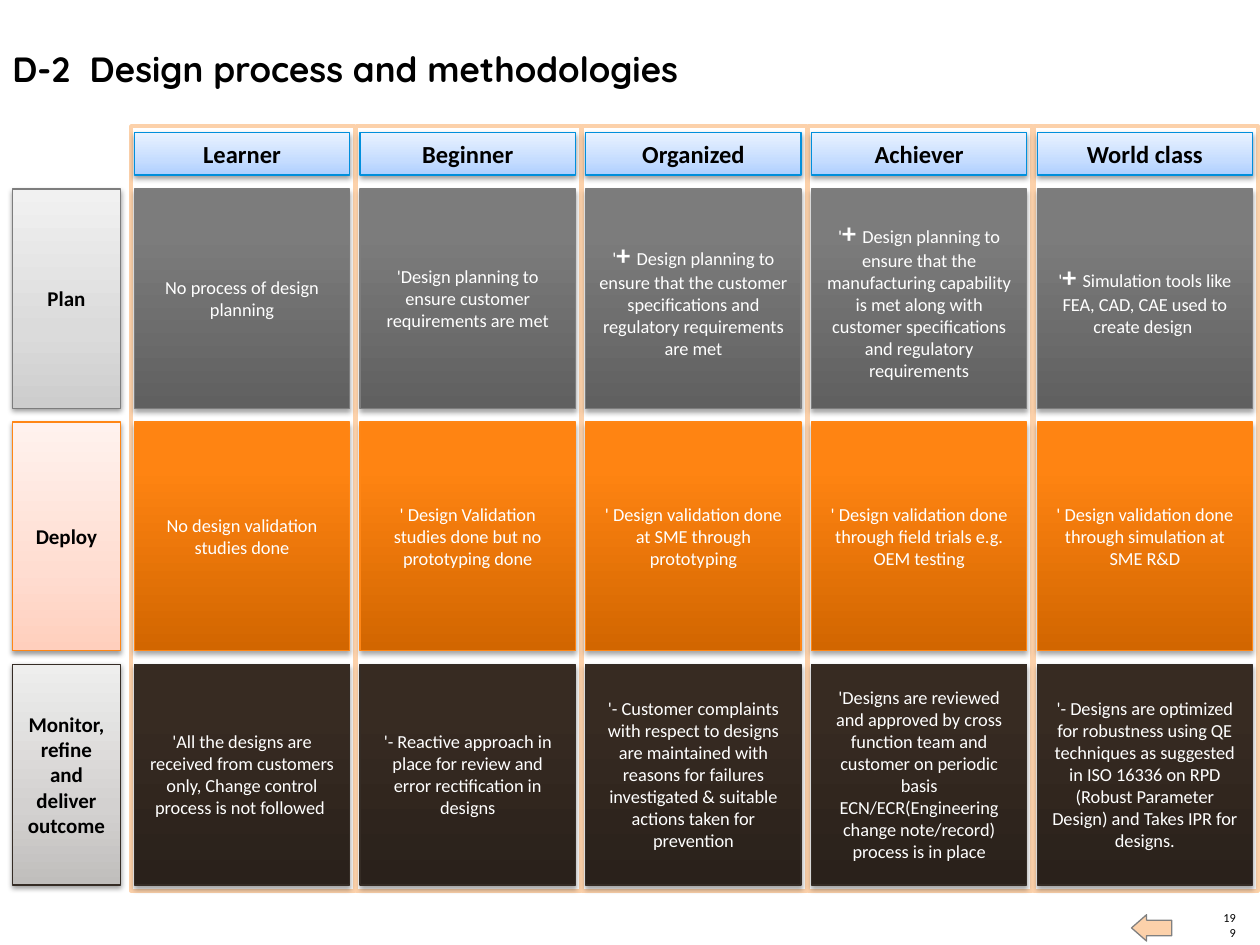
"""Builds the maturity grid slide for design process and methodologies."""
import copy
from collections import namedtuple

from lxml import etree
from pptx import Presentation
from pptx import util as u
from pptx.dml.color import RGBColor
from pptx.enum import shapes, text
from pptx.oxml import ns

BLACK = RGBColor(0x00, 0x00, 0x00)
WHITE = RGBColor(0xFF, 0xFF, 0xFF)
PEACH = RGBColor(0xFC, 0xD1, 0xAA)
GREY = RGBColor(0x80, 0x80, 0x80)
SILVER = RGBColor(0x7D, 0x7D, 0x7D)
ORANGE = RGBColor(0xFF, 0x86, 0x15)
BROWN = RGBColor(0x35, 0x2C, 0x25)
BLUE = RGBColor(0x00, 0x8F, 0xDC)
PALE_SILVER = [RGBColor(0xCD, 0xCD, 0xCD), RGBColor(0xDB, 0xDB, 0xDB), RGBColor(0xF1, 0xF1, 0xF1)]
PALE_ORANGE = [RGBColor(0xFF, 0xCF, 0xBD), RGBColor(0xFF, 0xDD, 0xD1), RGBColor(0xFF, 0xF2, 0xEE)]
PALE_BROWN = [RGBColor(0xC0, 0xBE, 0xBC), RGBColor(0xD3, 0xD1, 0xD0), RGBColor(0xEE, 0xEE, 0xED)]
PALE_BLUE = [RGBColor(0xAE, 0xCF, 0xFF), RGBColor(0xC6, 0xDD, 0xFF), RGBColor(0xE9, 0xF2, 0xFF)]
DEEP_SILVER = [RGBColor(0x60, 0x60, 0x60), RGBColor(0x7C, 0x7C, 0x7C), RGBColor(0x7D, 0x7D, 0x7D)]
DEEP_ORANGE = [RGBColor(0xD2, 0x66, 0x00), RGBColor(0xFF, 0x84, 0x12), RGBColor(0xFF, 0x85, 0x14)]
DEEP_BROWN = [RGBColor(0x2A, 0x21, 0x1B), RGBColor(0x37, 0x2B, 0x22), RGBColor(0x37, 0x2B, 0x22)]

Look = namedtuple("Look", "middle_stop shadow_alpha shadow_distance colour bold")
PALE = Look(0.35, 38, 1.6, BLACK, True)
DEEP = Look(0.8, 35, 1.8, WHITE, False)
Run = namedtuple("Run", "words size bold")
PLUS = Run("+ ", 16, True)
Stage = namedtuple("Stage", "name top height line pale deep cells")

LEVELS = ["Learner", "Beginner", "Organized", "Achiever", "World class"]
STAGES = [
    Stage("Plan", 3.81, 4.42, SILVER, PALE_SILVER, DEEP_SILVER, [
        [["No process of design planning"]],
        [["'Design planning to ensure customer requirements are met"]],
        [["'", PLUS, "Design planning to ensure that the customer specifications "
          "and regulatory requirements are met"]],
        [["'", PLUS, "Design planning to ensure that the manufacturing capability is met "
          "along with customer specifications and regulatory requirements"]],
        [["'", PLUS, "Simulation tools like FEA, CAD, CAE used to create design "]],
    ]),
    Stage("Deploy", 8.51, 4.6, ORANGE, PALE_ORANGE, DEEP_ORANGE, [
        [["No design validation studies done"]],
        [["' Design Validation studies done but no prototyping done"]],
        [["' Design validation done at SME through prototyping"]],
        [["' Design validation done through field trials e.g. OEM testing"]],
        [["' Design validation done through simulation at SME R&D"]],
    ]),
    Stage("Monitor, refine and deliver outcome", 13.39, 4.45, BROWN, PALE_BROWN, DEEP_BROWN, [
        [["'All the designs are received from customers only, "
          "Change control process is not followed "]],
        [["'- Reactive approach in place for review and error rectification in designs"]],
        [["'- Customer complaints with respect to designs are maintained with reasons "
          "for failures investigated & suitable actions taken for prevention"]],
        [["'Designs are reviewed and approved by cross function team and customer "
          "on periodic basis"],
         ["ECN/ECR(Engineering change note/record) process is in place"]],
        [["'- Designs are optimized for robustness using QE techniques as suggested in "
          "ISO 16336 on RPD (Robust Parameter Design) and Takes IPR for designs."]],
    ]),
]
COLUMN_PITCH = 4.55
CELL_LEFT, CELL_WIDTH = 2.71, 4.34


class GridSlide:
    """Holds the text style and the slide being drawn."""

    def __init__(self, slide, font="Calibri"):
        self.slide = slide
        self.font = font

    def fill_text(self, frame, paragraphs, size, colour, bold, align, font=None):
        frame.word_wrap = True
        for index, runs in enumerate(paragraphs):
            paragraph = frame.add_paragraph() if index else frame.paragraphs[0]
            paragraph.alignment = align
            for part in runs:
                part = part if isinstance(part, Run) else Run(part, size, bold)
                run = paragraph.add_run()
                run.text = part.words
                run.font.name = font or self.font
                run.font.size = u.Pt(part.size)
                run.font.bold = part.bold
                run.font.color.rgb = colour

    def label(self, box, words, size, align, bold=False, font=None):
        frame = self.slide.shapes.add_textbox(*map(u.Cm, box)).text_frame
        self.fill_text(frame, [[words]], size, BLACK, bold, align, font)
        return frame

    def outline(self, box, line, width, kind=shapes.MSO_SHAPE.RECTANGLE, fill=WHITE):
        shape = self.slide.shapes.add_shape(kind, *map(u.Cm, box))
        shape.shadow.inherit = False
        shape.fill.solid()
        shape.fill.fore_color.rgb = fill
        shape.line.color.rgb = line
        shape.line.width = u.Pt(width)
        return shape

    def tile(self, box, paragraphs, size, line, colours, look):
        shape = self.outline(box, line, 0.75)
        self.shade(shape, colours, look.middle_stop)
        self.drop_shadow(shape, look)
        shape.text_frame.vertical_anchor = text.MSO_ANCHOR.MIDDLE
        self.fill_text(shape.text_frame, paragraphs, size, look.colour, look.bold,
                       text.PP_ALIGN.CENTER)

    def shade(self, shape, colours, middle_stop):
        shape.fill.gradient()
        shape.fill.gradient_angle = 90
        stop_list = shape.element.spPr.find(".//" + ns.qn("a:gsLst"))
        stop_list.insert(1, copy.deepcopy(stop_list[0]))
        for stop, position, colour in zip(shape.fill.gradient_stops, (0, middle_stop, 1), colours):
            stop.position = position
            stop.color.rgb = colour

    def drop_shadow(self, shape, look):
        effects = shape.element.spPr.find(ns.qn("a:effectLst"))
        shadow = etree.SubElement(
            effects, ns.qn("a:outerShdw"), blurRad=str(int(u.Pt(3.1))),
            dist=str(int(u.Pt(look.shadow_distance))), dir="5400000", rotWithShape="0")
        colour = etree.SubElement(shadow, ns.qn("a:srgbClr"), val=str(BLACK))
        etree.SubElement(colour, ns.qn("a:alpha"), val=str(look.shadow_alpha * 1000))


def main():
    deck = Presentation()
    deck.slide_width, deck.slide_height = u.Cm(25.4), u.Cm(19.05)
    grid = GridSlide(deck.slides.add_slide(deck.slide_layouts[6]))

    page_number = grid.label((24.61, 18.64, 0.3, 0.3), "199", 7, text.PP_ALIGN.RIGHT)
    page_number.vertical_anchor = text.MSO_ANCHOR.BOTTOM
    page_number.margin_left = page_number.margin_right = 0
    page_number.margin_top = page_number.margin_bottom = 0

    back_arrow = grid.outline((22.81, 18.44, 0.81, 0.53), GREY, 0.75,
                              shapes.MSO_SHAPE.RIGHT_ARROW, PEACH)
    back_arrow.rotation = 180
    back_arrow.adjustments[0], back_arrow.adjustments[1] = 0.59, 0.57

    grid.label((0, 0.84, 21.84, 1.12), "D-2  Design process and methodologies", 20,
               text.PP_ALIGN.LEFT, True, "Quicksand")

    for stage in STAGES:
        grid.tile((0.25, stage.top, 2.18, stage.height), [[stage.name]], 12,
                  stage.line, stage.pale, PALE)
    for column in range(len(LEVELS)):
        grid.outline((2.64 + column * COLUMN_PITCH, 2.54, 4.52, 15.42), PEACH, 2)
    for column, level in enumerate(LEVELS):
        left = CELL_LEFT + column * COLUMN_PITCH
        for stage in STAGES:
            grid.tile((left, stage.top, CELL_WIDTH, stage.height), stage.cells[column], 10.5,
                      stage.line, stage.deep, DEEP)
        grid.tile((left, 2.67, CELL_WIDTH, 0.86), [[level]], 14, BLUE, PALE_BLUE, PALE)

    deck.save("out.pptx")


if __name__ == "__main__":
    main()
